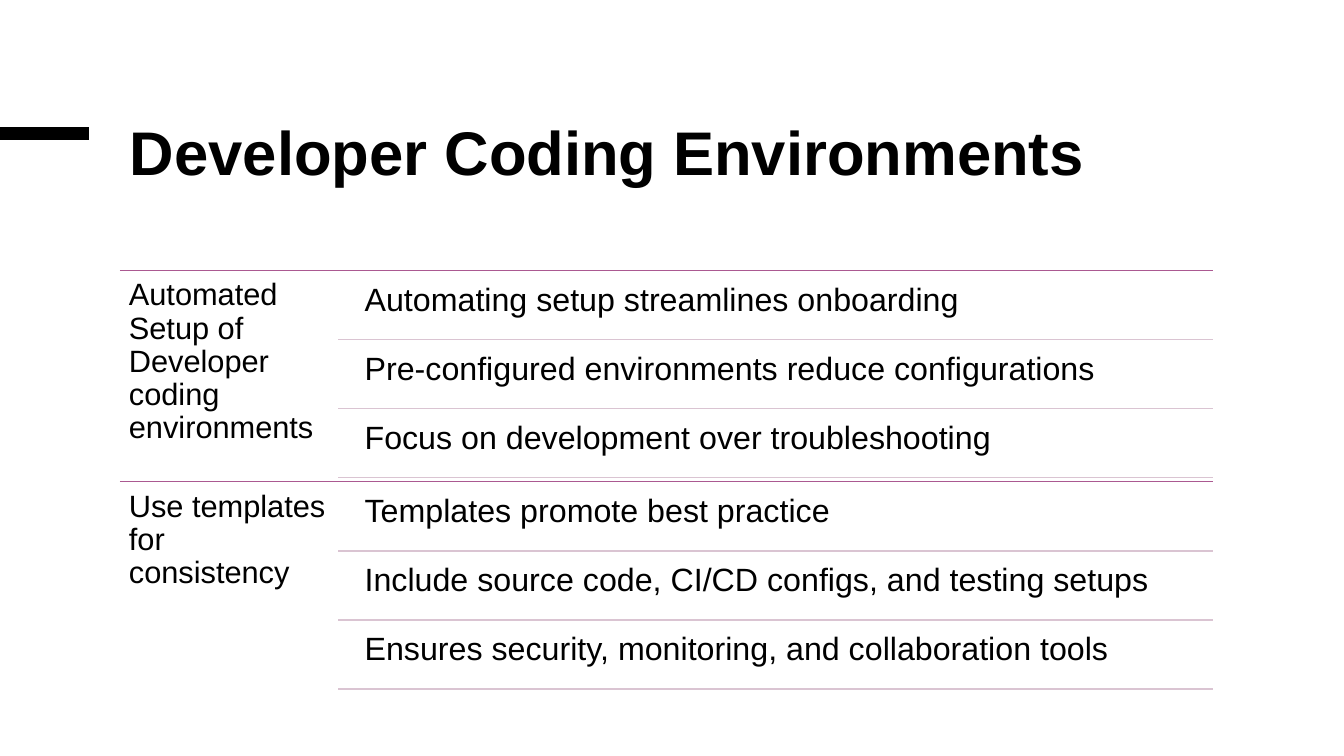
from dataclasses import dataclass

from lxml.etree import SubElement
from pptx import Presentation
from pptx.dml.color import RGBColor
from pptx.enum.shapes import MSO_CONNECTOR as Conn
from pptx.enum.text import MSO_ANCHOR as Anchor, MSO_AUTO_SIZE as Fit, PP_ALIGN as Align
from pptx.oxml.ns import qn
from pptx.slide import Slide
from pptx.text.text import TextFrame
from pptx.util import Cm, Pt

BLACK = RGBColor(0x00, 0x00, 0x00)
PLUM = RGBColor(0xAB, 0x59, 0x91)
PINK = RGBColor(0xDA, 0xC4, 0xD2)

LEFT, RIGHT, TOP = 3.02, 30.58, 6.81
RULE_X, ITEM_X = 8.53, 8.94
PART_H, ROW_H = 5.33, 1.74
ITEM_GAP, ITEM_H = 0.08, 1.67


@dataclass
class Part:
    topic: str
    items: list[str]


PARTS = [
    Part("Automated Setup of Developer coding environments", [
        "Automating setup streamlines onboarding",
        "Pre-configured environments reduce configurations",
        "Focus on development over troubleshooting",
    ]),
    Part("Use templates for consistency", [
        "Templates promote best practice",
        "Include source code, CI/CD configs, and testing setups",
        "Ensures security, monitoring, and collaboration tools",
    ]),
]


def rule(slide: Slide, left: float, right: float, y: float,
         color: RGBColor, width: float = 1) -> None:
    line = slide.shapes.add_connector(Conn.STRAIGHT, Cm(left), Cm(y), Cm(right), Cm(y))
    line.line.color.rgb = color
    line.line.width = Pt(width)
    SubElement(line._element.spPr, qn("a:effectLst"))


def write(frame: TextFrame, text: str, size: float, space: float, bold: bool = False) -> None:
    frame.word_wrap = True
    frame.auto_size = Fit.NONE
    frame.vertical_anchor = Anchor.TOP
    frame.text = text
    para = frame.paragraphs[0]
    para.alignment = Align.LEFT
    para.line_spacing = space
    font = para.font
    font.name = "Arial"
    font.size = Pt(size)
    font.bold = bold
    font.color.rgb = BLACK


def label(slide: Slide, left: float, top: float, width: float, height: float,
          text: str, size: float, inset: float) -> None:
    box = slide.shapes.add_textbox(Cm(left), Cm(top), Cm(width), Cm(height))
    frame = box.text_frame
    frame.margin_left = frame.margin_right = Cm(inset)
    frame.margin_top = frame.margin_bottom = Cm(inset)
    write(frame, text, size, 0.9)


def draw(slide: Slide, part: Part, top: float) -> None:
    rule(slide, LEFT, RIGHT, top, PLUM)
    label(slide, LEFT, top, RULE_X - LEFT, PART_H, part.topic, 22, 0.23)
    for row, item in enumerate(part.items):
        y = top + row * ROW_H
        label(slide, ITEM_X, y + ITEM_GAP, RIGHT - ITEM_X, ITEM_H, item, 23, 0.25)
        rule(slide, RULE_X, RIGHT, y + ROW_H, PINK)


def main() -> None:
    deck = Presentation()
    deck.slide_width, deck.slide_height = Cm(33.87), Cm(19.05)
    slide = deck.slides.add_slide(deck.slide_layouts[5])
    rule(slide, 0, 2.25, 3.36, BLACK, 9.5)
    title = slide.shapes.title
    title.left, title.top = Cm(LEFT), Cm(3.02)
    title.width, title.height = Cm(RIGHT - LEFT), Cm(3.61)
    write(title.text_frame, "Developer Coding Environments", 44, 0.85, True)
    for index, part in enumerate(PARTS):
        draw(slide, part, TOP + index * PART_H)
    deck.save("out.pptx")


if __name__ == "__main__":
    main()
